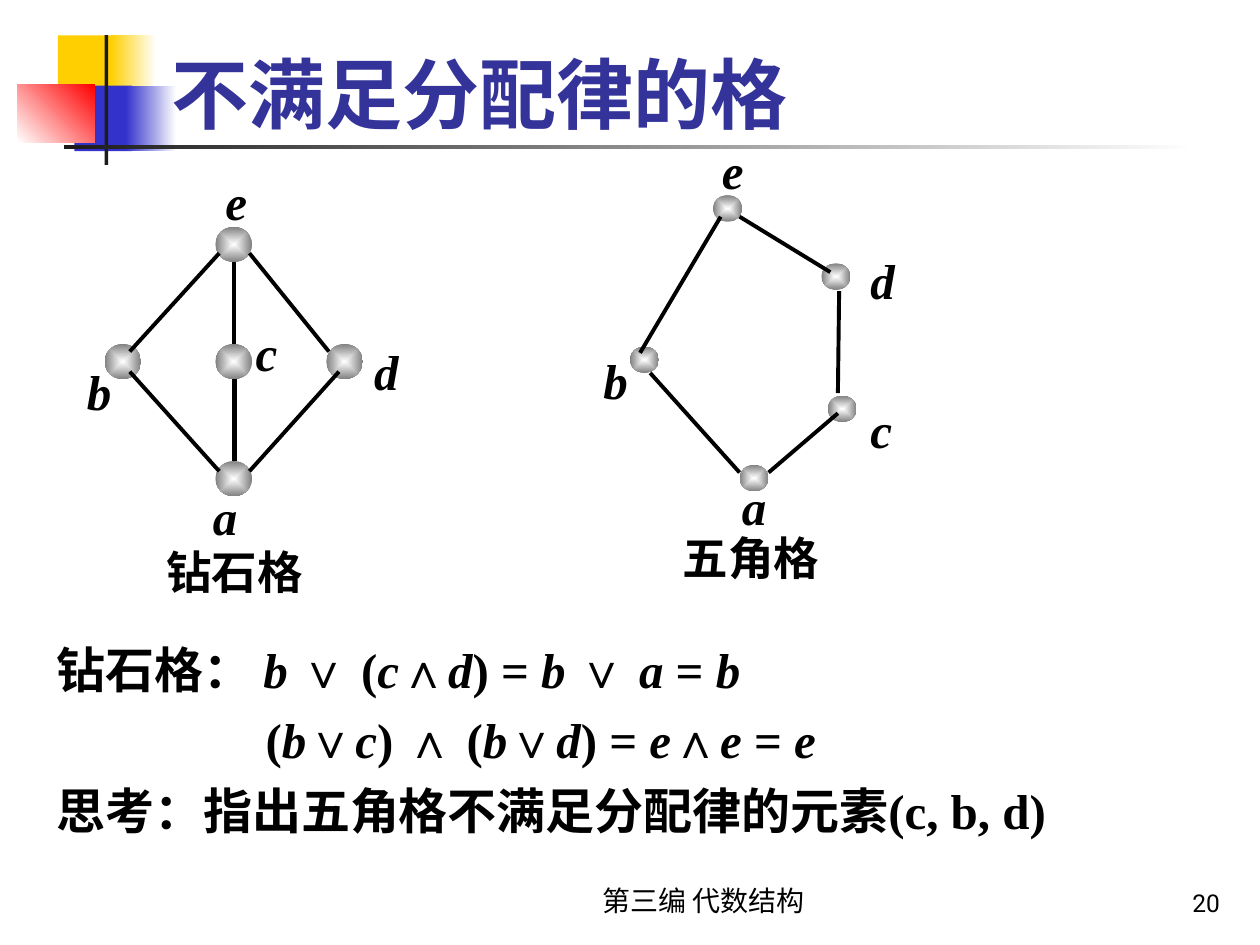
import itertools
import pptx
import pptx.dml.color
import pptx.enum.shapes
import pptx.enum.text
import pptx.oxml
import pptx.oxml.ns
import pptx.util
from pptx.util import Inches

KIND = pptx.enum.shapes.MSO_SHAPE
ALIGN = pptx.enum.text.PP_ALIGN
ANCHOR = pptx.enum.text.MSO_ANCHOR
SERIF = {"name": "Times New Roman", "size": pptx.util.Pt(28), "bold": True}
SYMBOL = {**SERIF, "italic": True}
CAPTION = {"name": "Roboto", "size": pptx.util.Pt(26), "bold": True}
TITLE = {"name": "Roboto", "size": pptx.util.Pt(44), "bold": True}
FOOTER = {"name": "Roboto", "size": pptx.util.Pt(16)}
NUMBER = {"name": "Roboto", "size": pptx.util.Pt(14)}

DIAMOND = {
    "size": (0.29, 0.28),
    "nodes": [(1.12, 0.49), (0.24, 1.42), (1.12, 1.42), (2, 1.42), (1.12, 2.35)],
    "edges": [
        (1.27, 0.77, 1.27, 1.42, 2.25), (1.27, 1.7, 1.27, 2.35, 3),
        (1.15, 0.7, 0.44, 1.48, 2.25), (2.1, 1.64, 1.39, 2.43, 2.25),
        (1.15, 2.43, 0.44, 1.64, 2.25), (2.02, 1.48, 1.39, 0.7, 2.25),
    ],
    "labels": {"a": (1, 2.5), "b": (0, 1.51), "c": (1.34, 1.2),
               "d": (2.28, 1.35), "e": (1.1, 0)},
    "caption": ("钻石格", 0.63, 2.96, 0.54, 1),
}
PENTAGON = {
    "size": (0.23, 0.21),
    "nodes": [(0.97, 0.48), (1.83, 1.02), (0.31, 1.68), (1.88, 2.07), (1.18, 2.62)],
    "edges": [
        (1.18, 0.65, 1.9, 1.09, 2.25), (0.47, 1.89, 1.18, 2.68, 2.25),
        (1.41, 2.68, 1.96, 2.21, 2.25), (1.97, 1.24, 1.96, 2.05, 2.25),
        (1.03, 0.65, 0.39, 1.73, 2.25),
    ],
    "labels": {"a": (1.1, 2.66), "b": (0, 1.66), "c": (2.12, 2.05),
               "d": (2.12, 0.87), "e": (0.94, 0)},
    "caption": ("五角格", 0.63, 3, 0.62, 1.2),
}


def hue(code):
    """Turn a hex string into a colour."""
    return pptx.dml.color.RGBColor.from_string(code)


def apply(item, look):
    """Set each attribute named in a dict of format values."""
    for key, value in look.items():
        setattr(item, key, value)


def write(para, text, look, color="000000"):
    """Add one formatted run to a paragraph."""
    run = para.add_run()
    run.text = text
    apply(run.font, look)
    run.font.color.rgb = hue(color)


def frame(shapes, box, **look):
    """Add a text box and return its text frame."""
    text = shapes.add_textbox(*map(Inches, box)).text_frame
    apply(text, {"word_wrap": True, **look})
    return text


def block(shapes, kind, box, colors, angle=0):
    """Add a borderless shape filled with one colour or a gradient of two."""
    shape = shapes.add_shape(kind, *map(Inches, box))
    shape.shadow.inherit = False
    shape.line.fill.background()
    if len(colors) == 1:
        shape.fill.solid()
        shape.fill.fore_color.rgb = hue(colors[0])
    else:
        shape.fill.gradient()
        shape.fill.gradient_angle = angle
        for stop, color in zip(shape.fill.gradient_stops, colors):
            stop.color.rgb = hue(color)
    return shape


def node(shapes, box):
    """Add a grey ball that is lit from its centre."""
    ball = block(shapes, KIND.OVAL, box, ["FFFFFF", "808080"])
    lin = next(ball._element.spPr.iter(pptx.oxml.ns.qn("a:lin")))
    glow = pptx.oxml.parse_xml(
        f'<a:path {pptx.oxml.ns.nsdecls("a")} path="rect">'
        '<a:fillToRect l="50000" t="50000" r="50000" b="50000"/></a:path>')
    lin.getparent().replace(lin, glow)


def edge(shapes, ends, width):
    """Add a straight black line."""
    line = shapes.add_connector(
        pptx.enum.shapes.MSO_CONNECTOR.STRAIGHT, *map(Inches, ends))
    line.line.color.rgb = hue("000000")
    line.line.width = pptx.util.Pt(width)
    line._element.spPr.append(
        pptx.oxml.parse_xml(f'<a:effectLst {pptx.oxml.ns.nsdecls("a")}/>'))


def lattice(slide, x, y, plan):
    """Draw a lattice diagram with labels and a caption."""
    shapes = slide.shapes.add_group_shape().shapes
    for left, top in plan["nodes"]:
        node(shapes, (x + left, y + top, *plan["size"]))
    for x1, y1, x2, y2, width in plan["edges"]:
        edge(shapes, (x + x1, y + y1, x + x2, y + y2), width)
    for name, (left, top) in plan["labels"].items():
        text = frame(shapes, (x + left, y + top, 0.39, 0.57), word_wrap=False)
        write(text.paragraphs[0], name, SYMBOL)
    name, left, top, height, pitch = plan["caption"]
    text = frame(shapes, (x + left, y + top, 1.4, height))
    text.paragraphs[0].line_spacing = pitch
    write(text.paragraphs[0], name, CAPTION)


def emblem(slide, x, y):
    """Draw the coloured blocks and the two rules."""
    for left, top, width, height, colors, angle in [
        (0.32, 0, 0.48, 0.52, ["FFCF01"], 0),
        (0.74, 0, 0.36, 0.52, ["FFCF01", "FFFFFF"], 0),
        (0.45, 0.4, 0.46, 0.52, ["3333CC"], 0),
        (0.86, 0.4, 0.4, 0.52, ["3333CC", "FFFFFF"], 0),
        (0, 0.39, 0.61, 0.46, ["FFFFFF", "FF0000"], 45),
        (0.69, 0, 0.03, 1.03, ["1C1C1C"], 0),
        (0.37, 0.87, 9, 0.03, ["1C1C1C", "FFFFFF"], 0),
    ]:
        block(slide.shapes, KIND.RECTANGLE, (x + left, y + top, width, height),
              colors, angle)


def title(slide, box):
    """Write the heading."""
    text = frame(slide.shapes, box, vertical_anchor=ANCHOR.BOTTOM)
    write(text.paragraphs[0], "不满足分配律的格", TITLE, "333399")


def proof(slide, box):
    """Write the formulas, with variables in italics, and the exercise."""
    text = frame(slide.shapes, box)
    for row, (line, math, left, hang) in enumerate([
        ("钻石格： b ∨ (c∧d) = b ∨ a = b", True, 0.38, -0.38),
        ("(b∨c) ∧ (b∨d) = e∧e = e", True, 1.66, 0),
        ("思考：指出五角格不满足分配律的元素(c, b, d)", False, 0.38, -0.38),
    ]):
        para = text.add_paragraph() if row else text.paragraphs[0]
        para.line_spacing = 1.2
        props = para._p.get_or_add_pPr()
        props.set("marL", str(Inches(left)))
        props.set("indent", str(Inches(hang)))
        for slant, part in itertools.groupby(
                line, lambda sign: math and sign.isascii() and sign.isalpha()):
            write(para, "".join(part), {**SERIF, "italic": slant})


def footer(slide, x, y):
    """Write the part name and the page number."""
    for left, width, words, look, align in [
        (0, 3.17, "第三编 代数结构", FOOTER, ALIGN.CENTER),
        (3.7, 2.08, "20", NUMBER, ALIGN.RIGHT),
    ]:
        text = frame(slide.shapes, (x + left, y, width, 0.5),
                     vertical_anchor=ANCHOR.BOTTOM)
        text.paragraphs[0].alignment = align
        write(text.paragraphs[0], words, look)


def main():
    """Build the slide and save it."""
    deck = pptx.Presentation()
    apply(deck, {"slide_width": Inches(10), "slide_height": Inches(7.5)})
    slide = deck.slides.add_slide(deck.slide_layouts[6])
    emblem(slide, 0.14, 0.28)
    footer(slide, 4, 6.83)
    title(slide, (1.26, 0.08, 8.52, 1.07))
    proof(slide, (0.35, 4.93, 9.29, 2.36))
    lattice(slide, 0.59, 1.31, DIAMOND)
    lattice(slide, 4.69, 1.07, PENTAGON)
    deck.save("out.pptx")


if __name__ == "__main__":
    main()
